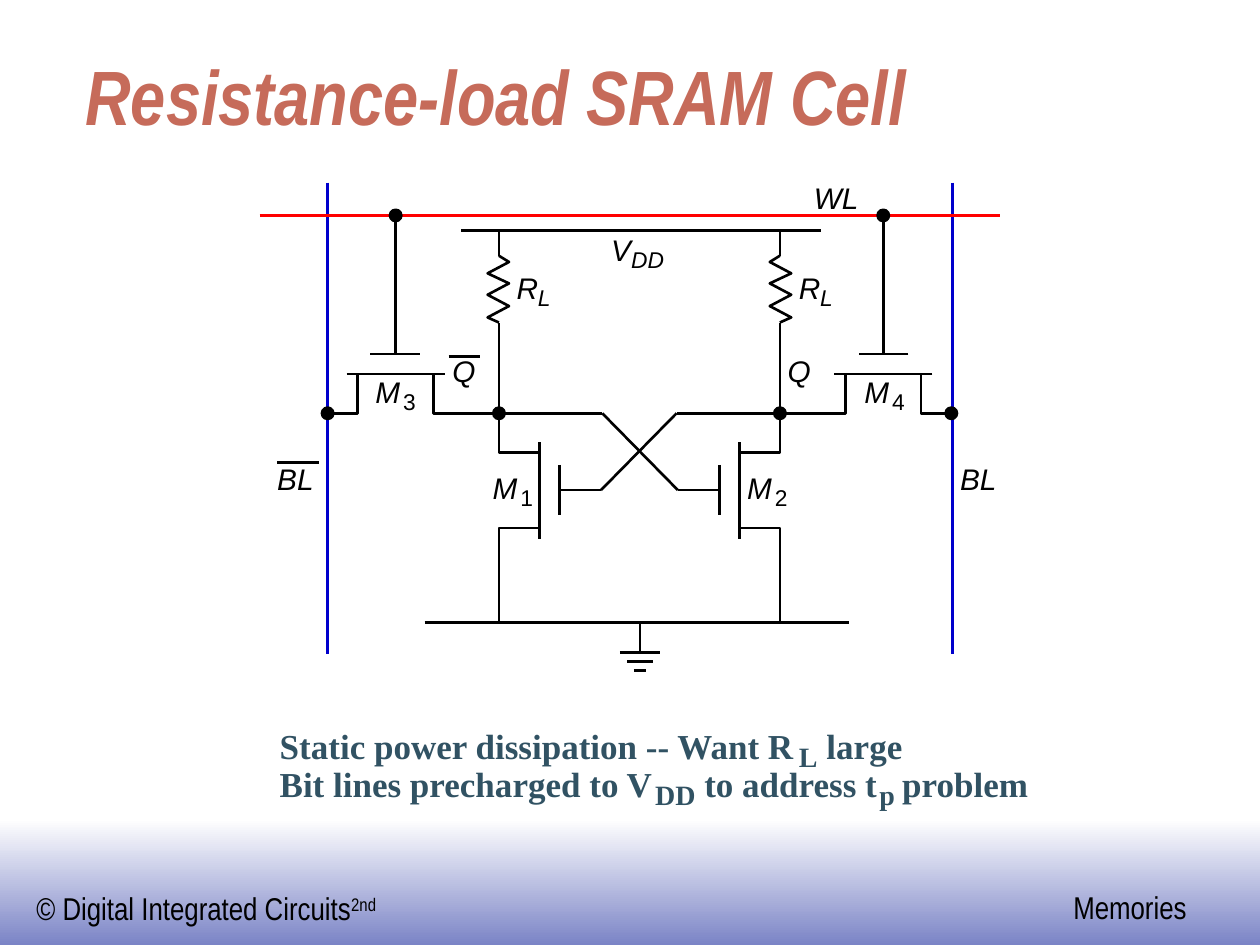
from pptx import Presentation
from pptx.dml.color import RGBColor
from pptx.enum.shapes import MSO_CONNECTOR, MSO_SHAPE
from pptx.enum.text import MSO_ANCHOR, MSO_AUTO_SIZE
from pptx.oxml.ns import qn
from pptx.util import Inches, Pt
from lxml.etree import SubElement

COLORS = {
    "black": "000000", "word line": "FF0000", "bit line": "0000CC",
    "title": "C66B5A", "caption": "315263",
    "band top": "FFFFFF", "band bottom": "7B84C6",
}
LINE_WIDTH = Pt(1.5)
MIRROR_SUM = 10.15  # left x + right x of the two cell halves


def rgb(name):
    return RGBColor.from_string(COLORS[name])


def add_text(page, at, runs, size, font, color="black", bold=False,
             italic=False, inset=(0, 0), fit=True):
    """Text box; runs are (text, baseline in thousandths of a percent)."""
    box = page.shapes.add_textbox(*map(Inches, at))
    frame = box.text_frame
    frame.word_wrap = not fit
    frame.auto_size = MSO_AUTO_SIZE.SHAPE_TO_FIT_TEXT if fit else MSO_AUTO_SIZE.NONE
    frame.margin_left = frame.margin_right = Inches(inset[0])
    frame.margin_top = frame.margin_bottom = Inches(inset[1])
    para = frame.paragraphs[0]
    for text, baseline in runs:
        span = para.add_run()
        span.text = text
        span.font.size, span.font.name = Pt(size), font
        span.font.bold, span.font.italic = bold, italic
        span.font.color.rgb = rgb(color)
        if baseline:
            span._r.get_or_add_rPr().set("baseline", str(baseline))
    return frame


def add_wire(page, start, end, color="black"):
    wire = page.shapes.add_connector(
        MSO_CONNECTOR.STRAIGHT, *map(Inches, (*start, *end)))
    wire.line.width = LINE_WIDTH
    wire.line.color.rgb = rgb(color)
    SubElement(wire._element.spPr, qn("a:effectLst"))


def add_path(page, points):
    corners = [(Inches(x), Inches(y)) for x, y in points]
    builder = page.shapes.build_freeform(*corners[0])
    builder.add_line_segments(corners[1:], close=False)
    path = builder.convert_to_shape()
    path.shadow.inherit = False
    path.fill.background()
    path.line.width = LINE_WIDTH
    path.line.color.rgb = rgb("black")


def add_node(page, x, y, size=0.09):
    node = page.shapes.add_shape(
        MSO_SHAPE.OVAL, Inches(x - size / 2), Inches(y - size / 2),
        Inches(size), Inches(size))
    node.shadow.inherit = False
    node.fill.solid()
    node.fill.fore_color.rgb = rgb("black")
    node.line.width = LINE_WIDTH
    node.line.color.rgb = rgb("black")


def add_label(page, x, y, text, width, sub="", gap=0.0, sub_width=0.1,
              sub_italic=True):
    """Symbol name with an optional lowered index to its right."""
    add_text(page, (x, y, width, 0.28), [(text, 0)], 17, "Arial", italic=True)
    if sub:
        add_text(page, (x + width + gap, y + 0.11, sub_width, 0.22),
                 [(sub, 0)], 13, "Arial", italic=sub_italic)


def add_half_cell(page, mirrored):
    """Access transistor, load resistor and pull-down of one side."""
    def side(point):
        x, y = point
        return (MIRROR_SUM - x if mirrored else x), y

    # Resistor zigzag between the supply rail and the storage node
    zigzag = [(3.96, 2.56), (3.87, 2.52), (4.04, 2.43), (3.87, 2.34),
              (4.04, 2.25), (3.87, 2.17), (4.04, 2.08), (3.96, 2.03)]
    paths = [
        zigzag,
        [(2.84, 2.97), (2.84, 3.28), (2.6, 3.28)],   # access, bit line side
        [(3.69, 3.28), (3.44, 3.28), (3.44, 2.97)],  # access, storage side
        [(4.28, 3.59), (3.96, 3.59), (3.96, 3.35)],  # pull-down drain
        [(3.96, 4.44), (3.96, 4.19), (4.28, 4.19)],  # pull-down source
    ]
    wires = [
        ((3.14, 1.71), (3.14, 2.47)), ((3.14, 2.47), (3.14, 2.8)),
        ((2.94, 2.81), (3.33, 2.81)), ((2.75, 2.97), (3.53, 2.97)),
        ((3.96, 1.83), (3.96, 2.03)), ((3.96, 2.56), (3.96, 3.35)),
        ((4.28, 3.51), (4.28, 4.28)), ((4.44, 3.69), (4.44, 4.09)),
        ((4.44, 3.89), (4.77, 3.89)), ((3.96, 4.44), (3.96, 4.94)),
        # Cross-coupling to the gate on the other side
        ((3.69, 3.28), (4.78, 3.28)), ((4.78, 3.28), (5.38, 3.89)),
    ]
    for points in paths:
        add_path(page, [side(point) for point in points])
    for start, end in wires:
        add_wire(page, side(start), side(end))
    for node in [(3.14, 1.71), (2.6, 3.28), (3.96, 3.28)]:
        add_node(page, *side(node))


def add_rails(page):
    for x in (2.6, 7.56):
        add_wire(page, (x, 1.45), (x, 5.19), "bit line")
    add_wire(page, (2.06, 1.71), (7.94, 1.71), "word line")
    add_wire(page, (3.66, 1.83), (6.52, 1.83))
    add_wire(page, (3.37, 4.94), (6.74, 4.94))
    # Ground symbol
    add_wire(page, (5.08, 4.94), (5.08, 5.18))
    for y, half in ((5.18, 0.16), (5.25, 0.1), (5.32, 0.05)):
        add_wire(page, (5.08 - half, y), (5.08 + half, y))


def add_labels(page):
    for x, y, index in ((3.91, 3.73, "1"), (5.93, 3.73, "2"),
                        (2.98, 2.97, "3"), (6.86, 2.97, "4")):
        add_label(page, x, y, "M", 0.2, index, gap=0.02, sub_italic=False)
    for x in (4.1, 6.34):
        add_label(page, x, 2.14, "R", 0.17, "L")
    add_label(page, 4.85, 1.84, "V", 0.16, "DD", sub_width=0.26)
    add_label(page, 6.46, 1.43, "WL", 0.36)
    for x in (3.59, 6.25):
        add_label(page, x, 2.8, "Q", 0.19)
    for x in (2.2, 7.62):
        add_label(page, x, 3.66, "BL", 0.29)
    # Bars over the complement signals
    add_wire(page, (2.2, 3.67), (2.53, 3.67))
    add_wire(page, (3.56, 2.83), (3.81, 2.83))


def add_caption(page, top, pieces):
    """One line; every second piece is a lowered index."""
    for number, (left, width, text) in enumerate(pieces):
        lowered = number % 2
        at = (left, top + 0.12, width, 0.27) if lowered else (left, top, width, 0.33)
        add_text(page, at, [(text, 0)], 16 if lowered else 20,
                 "Times New Roman", "caption", bold=True)


def add_footer(page):
    band = page.shapes.add_shape(
        MSO_SHAPE.RECTANGLE, 0, Inches(6.5), Inches(10), Inches(1))
    band.shadow.inherit = False
    band.line.fill.background()
    band.fill.gradient()
    band.fill.gradient_angle = 270
    for stop, name in zip(band.fill.gradient_stops, ("band top", "band bottom")):
        stop.color.rgb = rgb(name)
    add_text(page, (0.19, 7.01, 2.95, 0.4),
             [("© Digital Integrated Circuits", 0), ("2nd", 30000)],
             18, "Arial Narrow", inset=(0.1, 0.05))
    add_text(page, (8.42, 7, 1.1, 0.4), [("Memories", 0)],
             18, "Arial Narrow", inset=(0.1, 0.05))


def main():
    deck = Presentation()
    deck.slide_width, deck.slide_height = Inches(10), Inches(7.5)
    page = deck.slides.add_slide(deck.slide_layouts[6])

    add_footer(page)
    title = add_text(page, (0.58, 0.34, 8.5, 0.83),
                     [("Resistance-load SRAM Cell", 0)], 44, "Arial Narrow",
                     "title", bold=True, italic=True, inset=(0.1, 0.05), fit=False)
    title.vertical_anchor = MSO_ANCHOR.BOTTOM

    # Caption lines
    add_caption(page, 5.75, [
        (2.22, 4.11, "Static power dissipation -- Want R"),
        (6.34, 0.15, "L"), (6.49, 0.72, " large")])
    add_caption(page, 6.05, [
        (2.22, 2.97, "Bit lines precharged to V"), (5.2, 0.32, "DD"),
        (5.52, 1.45, " to address t"), (6.98, 0.12, "p"),
        (7.09, 1.08, " problem")])

    # Circuit
    add_rails(page)
    for mirrored in (False, True):
        add_half_cell(page, mirrored)
    add_labels(page)

    deck.save("out.pptx")


if __name__ == "__main__":
    main()
